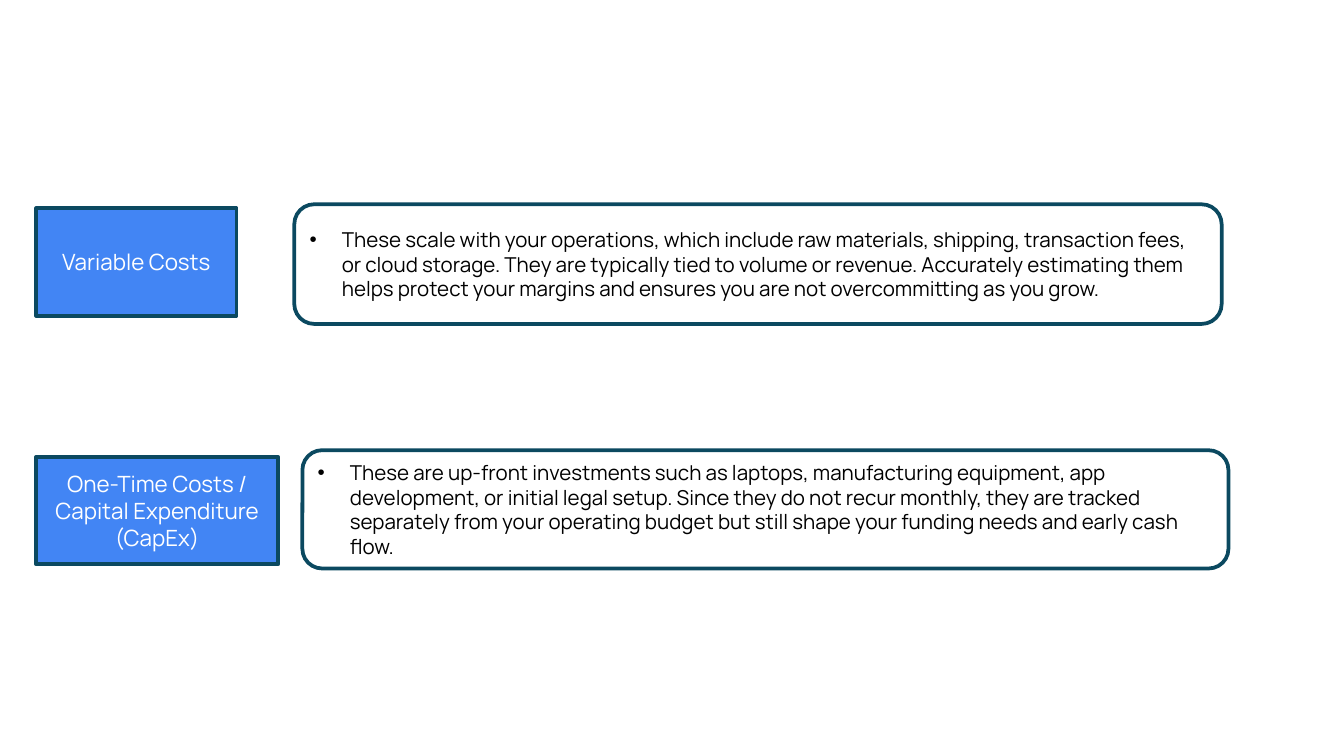
import pptx
import pptx.util
import pptx.dml.color
import pptx.enum.shapes
import pptx.enum.text
import pptx.oxml.ns
import lxml.etree
from pptx.util import Inches

BLUE = pptx.dml.color.RGBColor(0x42, 0x85, 0xF4)
TEAL = pptx.dml.color.RGBColor(0x0B, 0x49, 0x60)
WHITE = pptx.dml.color.RGBColor(0xFF, 0xFF, 0xFF)
BLACK = pptx.dml.color.RGBColor(0x00, 0x00, 0x00)

RECTANGLE = pptx.enum.shapes.MSO_SHAPE.RECTANGLE
ROUNDED = pptx.enum.shapes.MSO_SHAPE.ROUNDED_RECTANGLE
ALIGN = pptx.enum.text.PP_ALIGN


def add_box(slide, kind, bounds, fill, text, size, color, alignment):
    shape = slide.shapes.add_shape(kind, *[Inches(length) for length in bounds])
    shape.shadow.inherit = False
    shape.fill.solid()
    shape.fill.fore_color.rgb = fill
    shape.line.color.rgb = TEAL
    shape.line.width = pptx.util.Pt(2)
    frame = shape.text_frame
    frame.word_wrap = True
    frame.vertical_anchor = pptx.enum.text.MSO_ANCHOR.MIDDLE
    frame.margin_left = frame.margin_right = Inches(0.07)
    frame.margin_top = frame.margin_bottom = Inches(0.04)
    paragraph = frame.paragraphs[0]
    paragraph.text = text
    paragraph.alignment = alignment
    paragraph.font.name = "Manrope"
    paragraph.font.size = pptx.util.Pt(size)
    paragraph.font.color.rgb = color
    return paragraph


def add_bullet(paragraph):
    qn = pptx.oxml.ns.qn
    properties = paragraph._p.get_or_add_pPr()
    properties.set("marL", str(Inches(0.24)))
    properties.set("indent", str(-Inches(0.24)))
    bullet_color = lxml.etree.Element(qn("a:buClr"))
    lxml.etree.SubElement(bullet_color, qn("a:srgbClr"), val=str(BLACK))
    bullet_font = lxml.etree.Element(qn("a:buFont"), typeface="Arial")
    bullet_character = lxml.etree.Element(qn("a:buChar"), char="•")
    for element in (bullet_color, bullet_font, bullet_character):
        properties.insert_element_before(element, "a:tabLst", "a:defRPr", "a:extLst")


presentation = pptx.Presentation()
presentation.slide_width = Inches(10)
presentation.slide_height = Inches(10 * 9 / 16)
slide = presentation.slides.add_slide(presentation.slide_layouts[6])

costs = [
    (
        "Variable Costs",
        (0.27, 1.55, 1.49, 0.8),
        "These scale with your operations, which include raw materials, shipping, "
        "transaction fees, or cloud storage. They are typically tied to volume or "
        "revenue. Accurately estimating them helps protect your margins and ensures "
        "you are not overcommitting as you grow.",
        (2.19, 1.52, 6.9, 0.89),
    ),
    (
        "One-Time Costs / Capital Expenditure (CapEx)",
        (0.27, 3.4, 1.8, 0.8),
        "These are up-front investments such as laptops, manufacturing equipment, "
        "app development, or initial legal setup. Since they do not recur monthly, "
        "they are tracked separately from your operating budget but still shape "
        "your funding needs and early cash flow.",
        (2.25, 3.35, 6.89, 0.88),
    ),
]

for label, label_bounds, description, description_bounds in costs:
    add_box(slide, RECTANGLE, label_bounds, BLUE, label, 12, WHITE, ALIGN.CENTER)
    paragraph = add_box(
        slide, ROUNDED, description_bounds, WHITE, description, 11, BLACK, ALIGN.LEFT
    )
    add_bullet(paragraph)

presentation.save("out.pptx")
